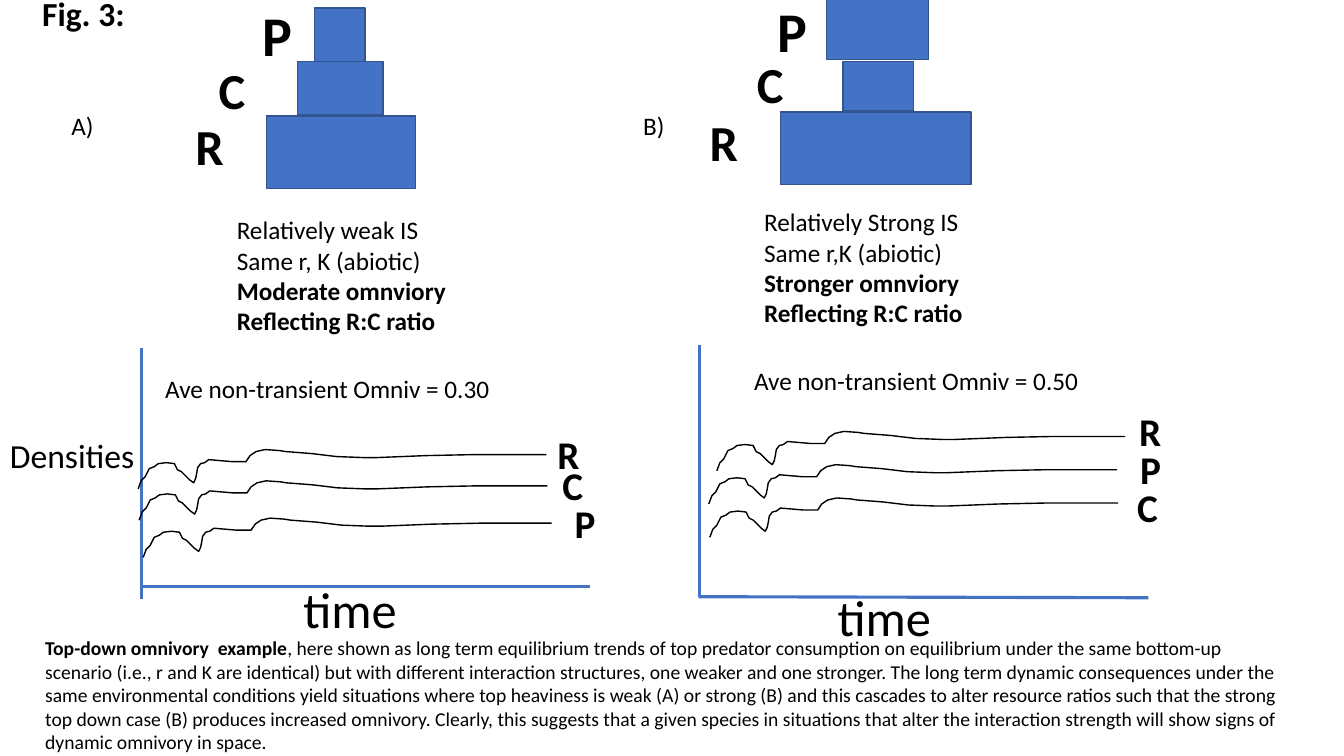
from pptx import Presentation
from pptx.dml.color import RGBColor
from pptx.enum.shapes import MSO_CONNECTOR, MSO_SHAPE
from pptx.enum.text import MSO_AUTO_SIZE
from pptx.oxml.ns import qn
from pptx.util import Inches, Pt
from lxml import etree

RECT = MSO_SHAPE.RECTANGLE
LINE = MSO_CONNECTOR.STRAIGHT
GROW = MSO_AUTO_SIZE.SHAPE_TO_FIT_TEXT

COLORS = {"ink": "000000", "blue": "4472C4", "edge": "325491"}

TREND = [
    (0, 39), (3, 31), (7, 27), (11, 19), (16, 17), (20, 14), (28, 13), (36, 14),
    (39, 20), (43, 22), (51, 30), (55, 33), (57, 29), (58, 24), (59, 18), (62, 14),
    (66, 13), (70, 10), (93, 12), (107, 12), (111, 6), (117, 2), (126, 0), (140, 1),
    (146, 2), (172, 4), (197, 7), (224, 8), (236, 8), (286, 6), (334, 5), (405, 5),
]


class Sketch:
    font = "Calibri"

    def __init__(self, slide):
        self.shapes = slide.shapes

    def color(self, name):
        return RGBColor.from_string(COLORS[name])

    def stroke(self, line, name, width):
        line.color.rgb = self.color(name)
        line.width = Pt(width)

    def box(self, left, top, width, height):
        shape = self.shapes.add_shape(RECT, *map(Inches, (left, top, width, height)))
        shape.shadow.inherit = False
        shape.fill.solid()
        shape.fill.fore_color.rgb = self.color("blue")
        self.stroke(shape.line, "edge", 1)

    def text(self, left, top, width, height, lines, size, bold=False, wrap=False):
        frame = self.shapes.add_textbox(
            *map(Inches, (left, top, width, height))).text_frame
        for name, value in {"word_wrap": wrap, "auto_size": GROW}.items():
            setattr(frame, name, value)
        for i, line in enumerate(lines):
            para = frame.add_paragraph() if i else frame.paragraphs[0]
            for words, heavy in ([(line, bold)] if isinstance(line, str) else line):
                run = para.add_run()
                run.text = words
                style = {"name": self.font, "size": Pt(size), "bold": heavy}
                for name, value in style.items():
                    setattr(run.font, name, value)
                run.font.color.rgb = self.color("ink")

    def axis(self, *ends):
        line = self.shapes.add_connector(LINE, *map(Inches, ends))
        self.stroke(line.line, "blue", 2.25)
        etree.SubElement(line._element.spPr, qn("a:effectLst"))

    def trend(self, left, top):
        points = [(Inches(left + x / 100), Inches(top + y / 100)) for x, y in TREND]
        build = self.shapes.build_freeform(*points[0])
        build.add_line_segments(points[1:], close=False)
        shape = build.convert_to_shape()
        shape.shadow.inherit = False
        shape.fill.background()
        self.stroke(shape.line, "ink", 1)


PANELS = [
    {
        "boxes": [(2.64, 1.15, 1.48, 0.72), (2.95, 0.61, 0.85, 0.53),
                  (3.12, 0.08, 0.5, 0.53)],
        "top": (2.51, -0.04),
        "levels": [(2.07, -0.06, " C"), (1.84, 0.49, " R")],
        "notes": (2.25, 2.08, 2.29, 1.31),
        "traits": ["Relatively weak IS", "Same r, K (abiotic)", "Moderate omnviory"],
        "axes": [(1.4, 3.45, 1.4, 5.94), (5.85, 5.82, 1.4, 5.82)],
        "time": (2.91, 5.69),
        "trends": [(1.42, 5.14), (1.38, 4.77), (1.37, 4.46)],
        "keys": [(5.6, 4.9, "P"), (5.48, 4.53, "C"), (5.43, 4.22, "R")],
        "mean": (1.54, 3.65, "0.30"),
        "tag": (0.61, "A)"),
    },
    {
        "boxes": [(7.74, 1.11, 1.89, 0.72), (8.36, 0.61, 0.7, 0.49),
                  (8.2, -0.06, 1.01, 0.65)],
        "top": (7.61, -0.08),
        "levels": [(7.41, -0.12, " C"), (6.94, 0.45, " R")],
        "notes": (7.48, 2, 2.19, 1.62),
        "traits": ["Relatively Strong IS", "Same r,K (abiotic)", "Stronger omnviory"],
        "axes": [(6.94, 3.42, 6.94, 5.92), (11.39, 5.93, 6.93, 5.92)],
        "time": (8.21, 5.77),
        "trends": [(7.11, 4.28), (7.04, 4.94), (7.03, 4.61)],
        "keys": [(11.21, 4.37, "P"), (11.2, 3.99, "R"), (11.18, 4.75, "C")],
        "mean": (7.38, 3.58, "0.50"),
        "tag": (6.28, "B)"),
    },
]

CAPTION = (
    ", here shown as long term equilibrium trends of top predator consumption on "
    "equilibrium under the same bottom-up scenario (i.e., r and K are identical) but "
    "with different interaction structures, one weaker and one stronger. The long term "
    "dynamic consequences under the same environmental conditions yield situations where "
    "top heaviness is weak (A) or strong (B) and this cascades to alter resource ratios "
    "such that the strong top down case (B) produces increased omnivory. Clearly, this "
    "suggests that a given species in situations that alter the interaction strength "
    "will show signs of dynamic omnivory in space."
)


def draw(pen, panel):
    for box in panel["boxes"]:
        pen.box(*box)
    pen.text(*panel["top"], 0.5, 0.77, ["P"], 40, bold=True)
    for left, top, name in panel["levels"]:
        pen.text(left, top, 0.54, 1.31, [name], 36, bold=True, wrap=True)
    traits = panel["traits"]
    heavy = [[(line, True)] for line in (traits[-1], "Reflecting R:C ratio")]
    pen.text(*panel["notes"], traits[:-1] + heavy, 18)
    for ends in panel["axes"]:
        pen.axis(*ends)
    pen.text(*panel["time"], 1.14, 0.71, ["time"], 36)
    for spot in panel["trends"]:
        pen.trend(*spot)
    for left, top, name in panel["keys"]:
        pen.text(left, top, 0.41, 0.57, [name], 28, bold=True)
    left, top, mean = panel["mean"]
    pen.text(left, top, 3.51, 0.4, [f"Ave non-transient Omniv = {mean}"], 18)
    left, tag = panel["tag"]
    pen.text(left, 1.05, 0.42, 0.4, [tag], 18)


def main():
    deck = Presentation()
    deck.slide_width = Inches(13.33)
    deck.slide_height = Inches(7.5)
    pen = Sketch(deck.slides.add_slide(deck.slide_layouts[6]))
    for panel in PANELS:
        draw(pen, panel)
    pen.text(0, 4.27, 1.45, 0.5, ["Densities"], 24)
    pen.text(0.32, -0.12, 1.03, 0.5, ["Fig. 3:"], 24, bold=True)
    pen.text(0.35, 6.26, 12.57, 1.28,
             [[("Top-down omnivory  example", True), (CAPTION, False)]], 14, wrap=True)
    deck.save("out.pptx")


if __name__ == "__main__":
    main()
